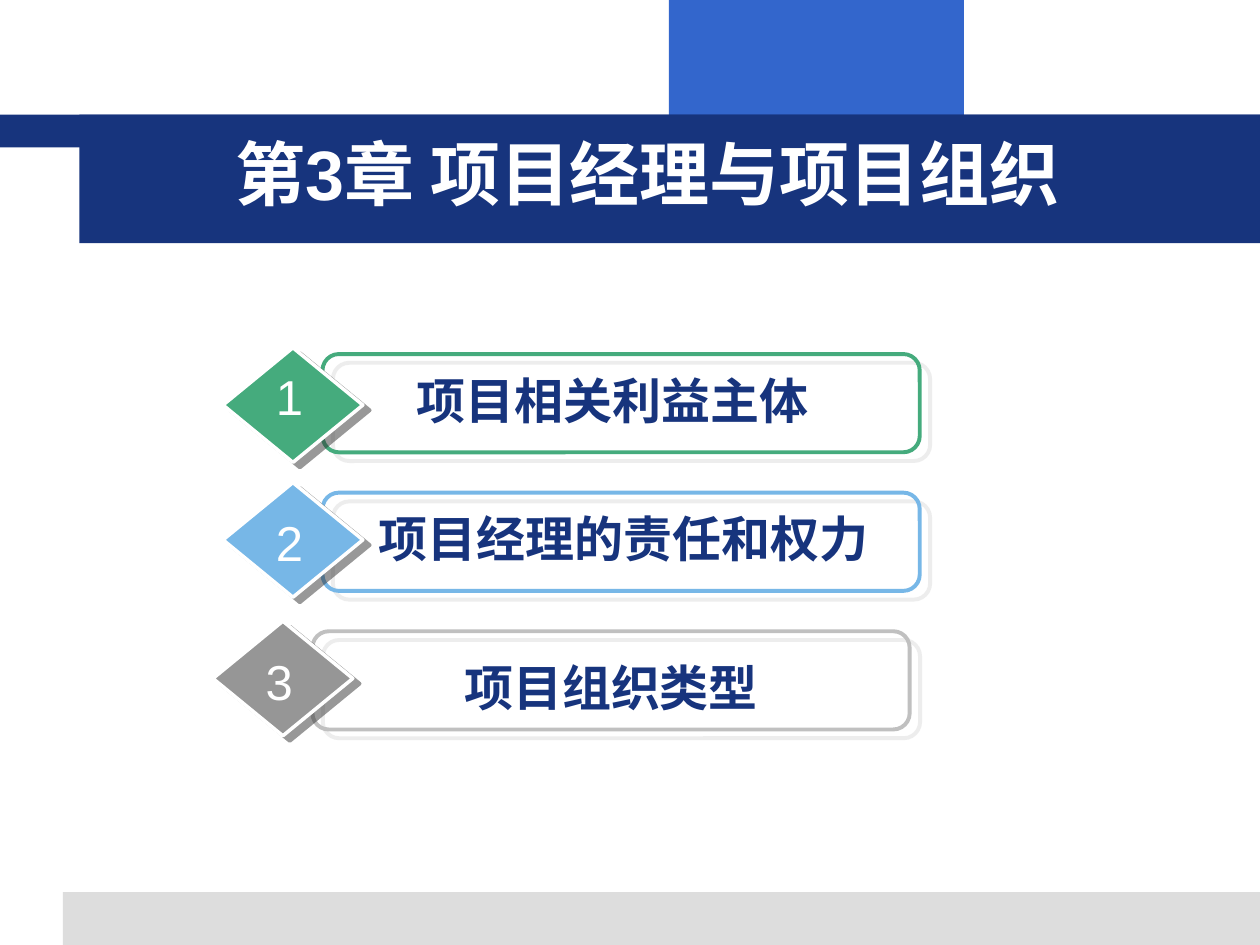
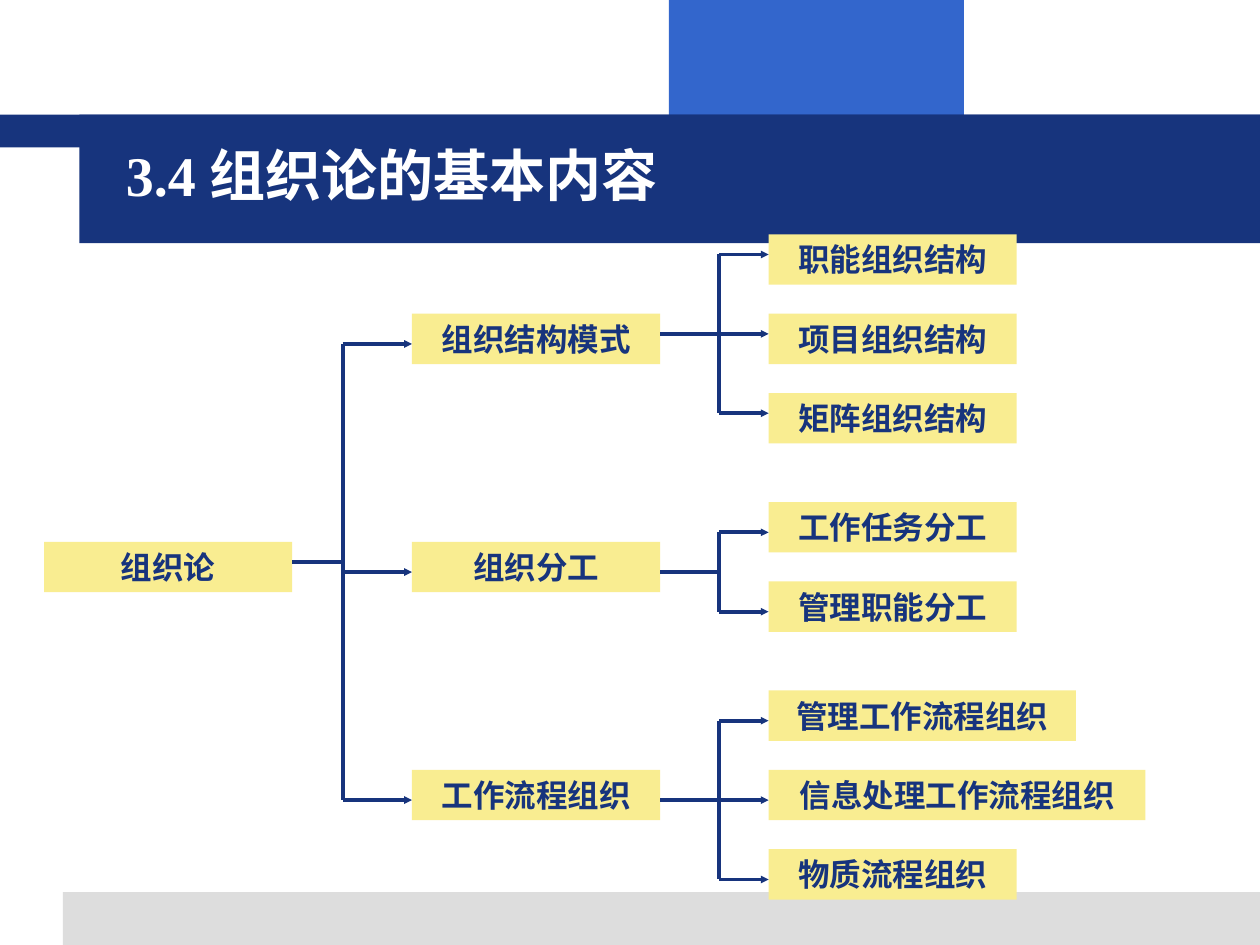
from pptx import Presentation
from pptx.dml.color import RGBColor
from pptx.enum.shapes import MSO_CONNECTOR, MSO_SHAPE
from pptx.enum.text import MSO_ANCHOR, PP_ALIGN
from pptx.oxml.ns import qn
from pptx.util import Inches, Pt
from lxml import etree

RECTANGLE = MSO_SHAPE.RECTANGLE
ROUNDED = MSO_SHAPE.ROUNDED_RECTANGLE
DIAMOND = MSO_SHAPE.DIAMOND
STRAIGHT = MSO_CONNECTOR.STRAIGHT
LEFT, CENTER = PP_ALIGN.LEFT, PP_ALIGN.CENTER
TOP, MIDDLE = MSO_ANCHOR.TOP, MSO_ANCHOR.MIDDLE

COLORS = {
    "navy": "17347D", "blue": "3366CC", "footer": "DDDDDD", "white": "FFFFFF",
    "green": "45AB7D", "sky": "77B7E7", "silver": "C0C0C0", "gray": "969696",
    "dark": "333333", "yellow": "F9ED91",
}

# Chapter contents: left, frame colour, diamond colour, label, and the
# label centre, label top, diamond top and number top within the row
CHAPTER_ITEMS = [
    (1.77, "green", "green", "项目相关利益主体", 3.09, 0.08, -0.05, 0.05),
    (1.77, "sky", "sky", "项目经理的责任和权力", 3.18, 0.08, -0.08, 0.11),
    (1.69, "silver", "gray", "项目组织类型", 3.16, 0.16, -0.08, 0.11),
]

# Tree: branch name, height of its arrows on the leaves, leaves
BRANCHES = [
    ("组织结构模式", 0.16, ["职能组织结构", "项目组织结构", "矩阵组织结构"]),
    ("组织分工", 0.24, ["工作任务分工", "管理职能分工"]),
    ("工作流程组织", 0.24, ["管理工作流程组织", "信息处理工作流程组织", "物质流程组织"]),
]
NODE_WIDTH, NODE_HEIGHT = 1.97, 0.4
WIDE_NODES = {"管理工作流程组织": 2.44, "信息处理工作流程组织": 2.99}


def color(name):
    return RGBColor.from_string(COLORS[name])


def write_text(shape, text, size=18, font="Arial", ink="navy", bold=True,
               align=CENTER, anchor=TOP, wrap=True):
    frame = shape.text_frame
    frame.word_wrap = wrap
    frame.vertical_anchor = anchor
    paragraph = frame.paragraphs[0]
    paragraph.alignment = align
    run = paragraph.add_run()
    run.text = text
    run.font.size = Pt(size)
    run.font.name = font
    run.font.bold = bold
    run.font.color.rgb = color(ink)


def add_text(slide, left, top, width, height, text, **text_format):
    box = slide.shapes.add_textbox(*map(Inches, (left, top, width, height)))
    write_text(box, text, **text_format)


def add_box(slide, kind, left, top, width, height, fill=None, line=None,
            line_width=2.25):
    shape = slide.shapes.add_shape(kind, *map(Inches, (left, top, width, height)))
    shape.shadow.inherit = False
    if fill:
        shape.fill.solid()
        shape.fill.fore_color.rgb = color(fill)
    else:
        shape.fill.background()
    if line:
        shape.line.color.rgb = color(line)
        shape.line.width = Pt(line_width)
    else:
        shape.line.fill.background()
    return shape


def add_shadow(shape, tint, distance, angle):
    effects = shape._element.spPr.find(qn("a:effectLst"))
    shadow = etree.SubElement(effects, qn("a:outerShdw"), dist=str(Pt(distance)),
                              dir=str(angle * 60000), algn="ctr", rotWithShape="0")
    tone = etree.SubElement(shadow, qn("a:srgbClr"), val=COLORS[tint])
    etree.SubElement(tone, qn("a:alpha"), val="50000")


def add_line(slide, x1, y1, x2, y2, arrow=False):
    line = slide.shapes.add_connector(STRAIGHT, *map(Inches, (x1, y1, x2, y2)))
    line.line.color.rgb = color("navy")
    line.line.width = Pt(2.25)
    properties = line._element.spPr
    if arrow:
        etree.SubElement(properties.find(qn("a:ln")), qn("a:tailEnd"),
                         type="triangle", w="sm", len="sm")
    etree.SubElement(properties, qn("a:effectLst"))


def add_base_slide(presentation):
    slide = presentation.slides.add_slide(presentation.slide_layouts[6])
    add_box(slide, RECTANGLE, 5.31, 0, 2.34, 0.92, fill="blue")
    add_box(slide, RECTANGLE, 0.5, 7.08, 9.5, 0.42, fill="footer")
    add_box(slide, RECTANGLE, 0, 0.91, 10, 0.26, fill="navy")
    add_box(slide, RECTANGLE, 0.63, 0.91, 9.37, 1.02, fill="navy")
    return slide


def add_title(slide, left, top, width, height, text, **text_format):
    add_text(slide, left, top, width, height, text, ink="white", align=LEFT,
             **text_format)


def add_chapter_item(slide, top, number, item):
    left, outline, fill, label, center, label_top, diamond_top, number_top = item
    frame = add_box(slide, ROUNDED, left + 0.79, top, 4.74, 0.78, line=outline)
    add_shadow(frame, "footer", 7.8, 40)
    diamond = add_box(slide, DIAMOND, left, top + diamond_top, 1.11, 0.91,
                      fill=fill, line="white", line_width=2)
    add_shadow(diamond, "dark", 5, 37)
    add_text(slide, left + center - 2.2, top + label_top, 4.4, 0.57, label, size=28)
    add_text(slide, left + 0.32, top + number_top, 0.41, 0.57, str(number),
             size=28, ink="white", bold=False, wrap=False)


def add_node(slide, left, top, text):
    width = WIDE_NODES.get(text, NODE_WIDTH)
    node = add_box(slide, RECTANGLE, left, top, width, NODE_HEIGHT, fill="yellow")
    write_text(node, text)


def add_fork(slide, stem_x, stem_y, trunk_x, child_x, child_ys):
    add_line(slide, stem_x, stem_y, trunk_x, stem_y)
    add_line(slide, trunk_x, child_ys[0], trunk_x, child_ys[-1])
    for y in child_ys:
        add_line(slide, trunk_x, y, child_x, y, arrow=True)


def add_tree(slide, left, top):
    branch_left, leaf_left = left + 2.92, left + 5.75
    branch_pitch, leaf_pitch = 1.81, 0.63
    branch_tops = [top + 0.63 + i * branch_pitch for i in range(len(BRANCHES))]
    root_top = branch_tops[1]

    # Root and branches
    add_node(slide, left, root_top, "组织论")
    add_fork(slide, left + NODE_WIDTH, root_top + 0.16, left + 2.37, branch_left,
             [y + 0.24 for y in branch_tops])

    # Leaves, centred on their branch
    for branch_top, (name, arrow_height, leaves) in zip(branch_tops, BRANCHES):
        add_node(slide, branch_left, branch_top, name)
        first_top = branch_top - (len(leaves) - 1) / 2 * leaf_pitch
        leaf_tops = [first_top + i * leaf_pitch for i in range(len(leaves))]
        for leaf_top, leaf in zip(leaf_tops, leaves):
            add_node(slide, leaf_left, leaf_top, leaf)
        add_fork(slide, branch_left + NODE_WIDTH, branch_top + arrow_height,
                 left + 5.36, leaf_left, [y + arrow_height for y in leaf_tops])


def build_chapter_slide(presentation):
    slide = add_base_slide(presentation)
    add_title(slide, 1.77, 0.99, 7.09, 0.77, "第3章 项目经理与项目组织", size=40)
    for index, item in enumerate(CHAPTER_ITEMS):
        add_chapter_item(slide, 2.81 + index * 1.1, index + 1, item)


def build_tree_slide(presentation):
    slide = add_base_slide(presentation)
    add_title(slide, 0.9, 1.15, 8.53, 0.46, "3.4 组织论的基本内容", size=32,
              font="Times New Roman", anchor=MIDDLE)
    add_tree(slide, 0.35, 1.86)


def main():
    presentation = Presentation()
    presentation.slide_width = Inches(10)
    presentation.slide_height = Inches(7.5)
    build_chapter_slide(presentation)
    build_tree_slide(presentation)
    presentation.save("out.pptx")


if __name__ == "__main__":
    main()
